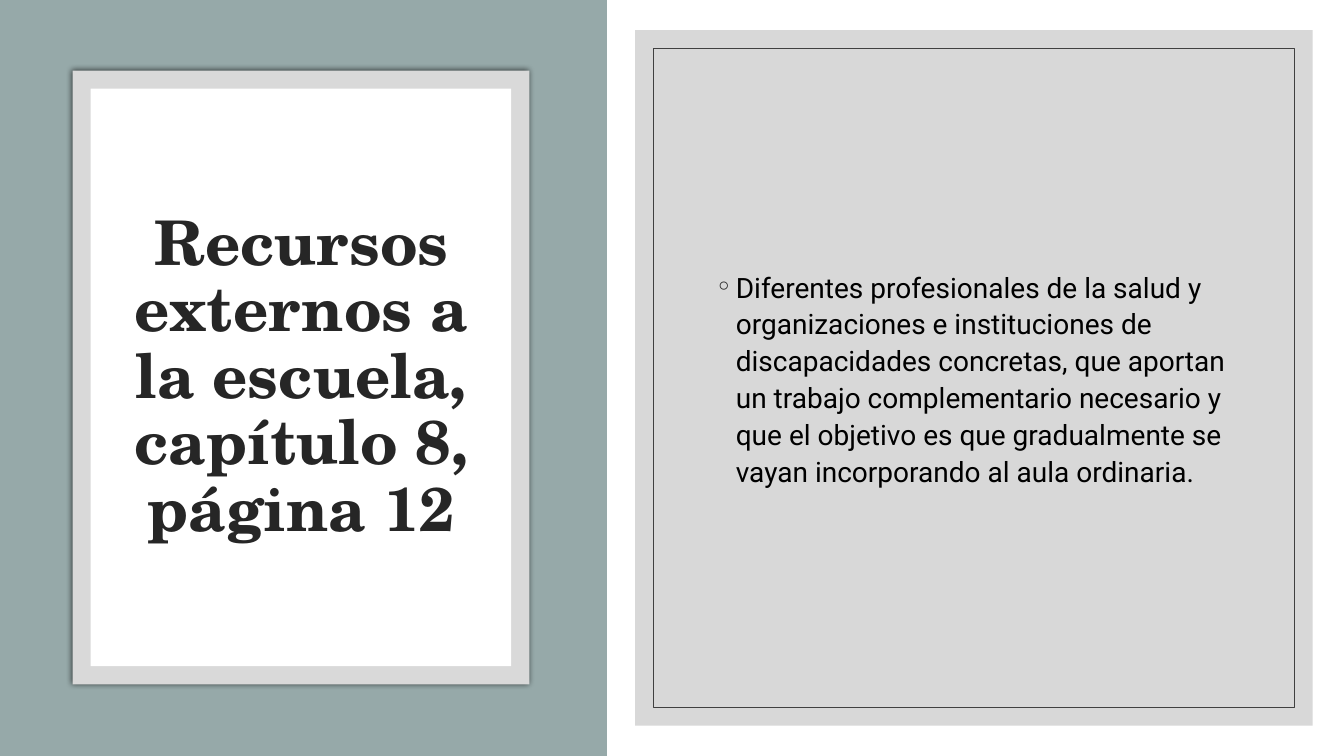
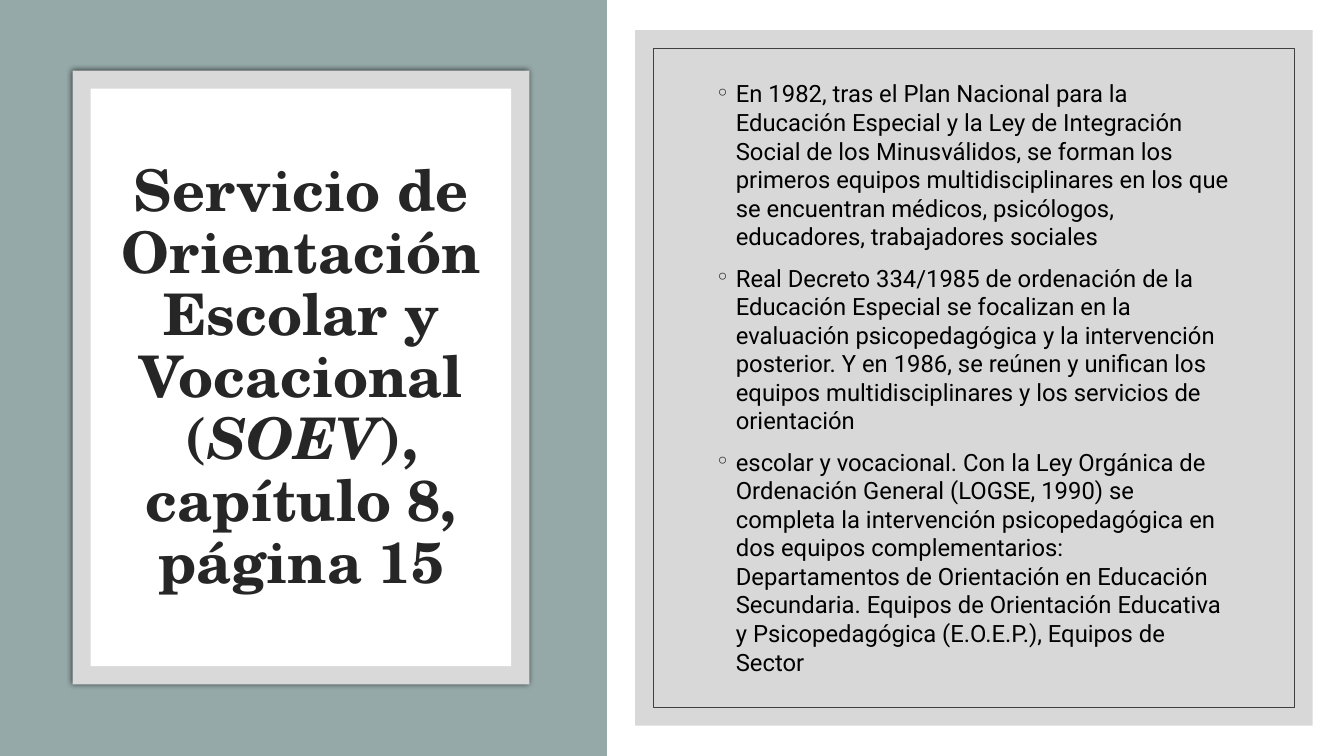
"""Build two slides with a framed title on the left and a bulleted panel on the right."""
import lxml.etree
import pptx
import pptx.dml.color
import pptx.enum.shapes
import pptx.enum.text
import pptx.oxml.ns
import pptx.util

Inches = pptx.util.Inches
Pt = pptx.util.Pt

WIDTH, HEIGHT = 13.33, 7.5
WHITE, SAGE, FRAME, PANEL = "FFFFFF", "96A9A9", "D9D9D9", "BFBFBF"
INK, RULE, BLACK = "262626", "404040", "000000"
BORDER = 0.18
TITLE_FRAME = (0.72, 0.7, 4.53, 6.09)
BODY_PANEL = (6.3, 0.3, 6.72, 6.9)
TITLE_BOX = (1.08, 1.3, 3.82, 4.91)
BODY_BOX = (7, 1.02, 5.33, 5.45)
TITLE_FONT = {"name": "TeX Gyre Schola", "bold": True}
BODY_FONT = {"name": "Roboto"}
TITLE_FORMAT = {"alignment": pptx.enum.text.PP_ALIGN.CENTER, "line_spacing": 0.9}
BULLET_INDENT = 0.2

SLIDES = [
    {
        "title": [("Recursos externos a la escuela, capítulo 8, página 12", False)],
        "title_size": 44,
        "body": [
            "Diferentes profesionales de la salud y organizaciones e instituciones de "
            "discapacidades concretas, que aportan un trabajo complementario necesario y que "
            "el objetivo es que gradualmente se vayan incorporando al aula ordinaria.",
        ],
        "body_size": 20,
        "body_spacing": 1.1,
    },
    {
        "title": [
            ("Servicio de Orientación Escolar y Vocacional (", False),
            ("SOEV", True),
            ("), capítulo 8, página 15", False),
        ],
        "title_size": 41,
        "body": [
            "En 1982, tras el Plan Nacional para la Educación Especial y la Ley de Integración "
            "Social de los Minusválidos, se forman los primeros equipos multidisciplinares en "
            "los que se encuentran médicos, psicólogos, educadores, trabajadores sociales",
            "Real Decreto 334/1985 de ordenación de la Educación Especial se focalizan en la "
            "evaluación psicopedagógica y la intervención posterior. Y en 1986, se reúnen y "
            "unifican los equipos multidisciplinares y los servicios de orientación",
            "escolar y vocacional. Con la Ley Orgánica de Ordenación General (LOGSE, 1990) se "
            "completa la intervención psicopedagógica en dos equipos complementarios: "
            "Departamentos de Orientación en Educación Secundaria. Equipos de Orientación "
            "Educativa y Psicopedagógica (E.O.E.P.), Equipos de Sector",
        ],
        "body_size": 17,
        "body_spacing": 1.0,
    },
]


def rgb(color):
    return pptx.dml.color.RGBColor.from_string(color)


def add_xml(parent, tag, **attrs):
    child = lxml.etree.SubElement(parent, pptx.oxml.ns.qn(tag))
    for name, value in attrs.items():
        child.set(name, str(value))
    return child


def set_attrs(target, values):
    for name, value in values.items():
        setattr(target, name, value)


def inset(box, gap):
    x, y, w, h = box
    return x + gap, y + gap, w - 2 * gap, h - 2 * gap


def add_rect(s, box, fill=None, line=None, opacity=None):
    kind = pptx.enum.shapes.MSO_SHAPE.RECTANGLE
    sp = s.shapes.add_shape(kind, *map(Inches, box))
    sp.shadow.inherit = False
    if fill:
        sp.fill.solid()
        sp.fill.fore_color.rgb = rgb(fill)
    else:
        sp.fill.background()
    if line:
        sp.line.color.rgb = rgb(line)
        sp.line.width = Pt(0.5)
    else:
        sp.line.fill.background()
    if opacity:
        color = sp.fill._xPr.find(".//" + pptx.oxml.ns.qn("a:srgbClr"))
        add_xml(color, "a:alpha", val=opacity * 1000)
    return sp


def add_shadow(sp):
    effects = sp._element.spPr.find(pptx.oxml.ns.qn("a:effectLst"))
    shadow = add_xml(effects, "a:outerShdw", blurRad=Pt(4), dist=0, dir=0,
                     algn="ctr", rotWithShape=0)
    color = add_xml(shadow, "a:srgbClr", val=BLACK)
    add_xml(color, "a:alpha", val=66000)


def add_text_frame(s, box):
    tf = s.shapes.add_textbox(*map(Inches, box)).text_frame
    set_attrs(tf, {"word_wrap": True,
                   "vertical_anchor": pptx.enum.text.MSO_ANCHOR.MIDDLE})
    return tf


def add_run(p, text, size, color, font):
    r = p.add_run()
    r.text = text
    set_attrs(r.font, {"size": Pt(size), **font})
    r.font.color.rgb = rgb(color)


def add_bullet(p):
    pPr = p._p.get_or_add_pPr()
    pPr.set("marL", str(Inches(BULLET_INDENT)))
    pPr.set("indent", str(-Inches(BULLET_INDENT)))
    add_xml(add_xml(pPr, "a:buClr"), "a:srgbClr", val=INK)
    add_xml(pPr, "a:buFont", typeface=BODY_FONT["name"])
    add_xml(pPr, "a:buChar", char="◦")


def add_title(s, runs, size):
    p = add_text_frame(s, TITLE_BOX).paragraphs[0]
    set_attrs(p, TITLE_FORMAT)
    for text, italic in runs:
        add_run(p, text, size, INK, {**TITLE_FONT, "italic": italic})


def add_body(s, items, size, spacing):
    tf = add_text_frame(s, BODY_BOX)
    for i, text in enumerate(items):
        p = tf.add_paragraph() if i else tf.paragraphs[0]
        set_attrs(p, {"line_spacing": spacing, "space_before": Pt(9)})
        add_bullet(p)
        add_run(p, text, size, BLACK, BODY_FONT)


def add_panels(s):
    add_rect(s, (0, 0, WIDTH, HEIGHT), WHITE)
    add_rect(s, (-0.01, 0, 6.03, HEIGHT), SAGE)
    add_shadow(add_rect(s, TITLE_FRAME, FRAME))
    add_rect(s, inset(TITLE_FRAME, BORDER), WHITE)
    add_rect(s, BODY_PANEL, PANEL, opacity=60)
    add_rect(s, inset(BODY_PANEL, BORDER), line=RULE)


def main():
    prs = pptx.Presentation()
    set_attrs(prs, {"slide_width": Inches(WIDTH), "slide_height": Inches(HEIGHT)})
    for content in SLIDES:
        s = prs.slides.add_slide(prs.slide_layouts[6])
        add_panels(s)
        add_title(s, content["title"], content["title_size"])
        add_body(s, content["body"], content["body_size"], content["body_spacing"])
    prs.save("out.pptx")


if __name__ == "__main__":
    main()
